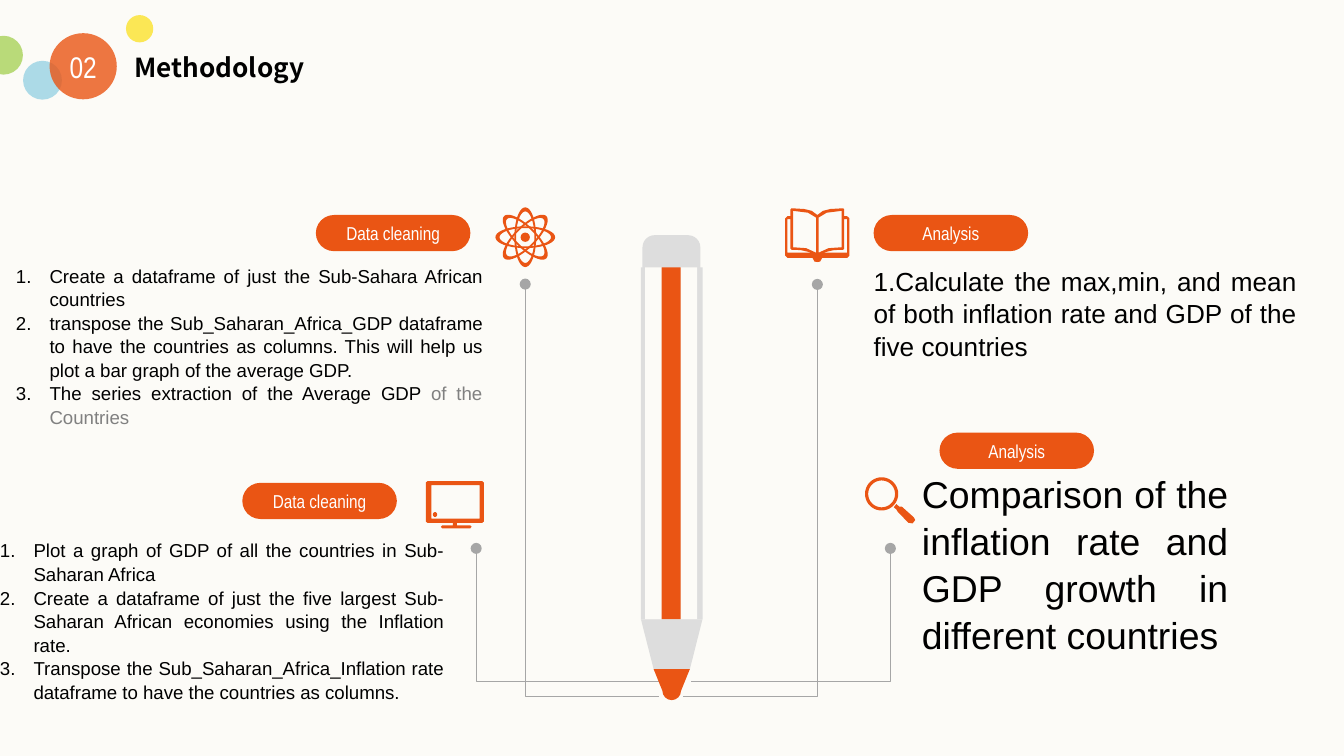
from math import cos, pi, radians, sin

from lxml import etree
from pptx import Presentation
from pptx.dml.color import RGBColor
from pptx.enum.shapes import MSO_SHAPE
from pptx.enum.text import MSO_ANCHOR, PP_ALIGN
from pptx.oxml.ns import qn
from pptx.util import Pt

OVAL, RECT, ROUND = MSO_SHAPE.OVAL, MSO_SHAPE.RECTANGLE, MSO_SHAPE.ROUNDED_RECTANGLE
LEFT, CENTER, JUSTIFY = PP_ALIGN.LEFT, PP_ALIGN.CENTER, PP_ALIGN.JUSTIFY
TOP, MIDDLE = MSO_ANCHOR.TOP, MSO_ANCHOR.MIDDLE

THEME = {
    "paper": "FCFBF7", "accent": "EA5514", "grey": "DDDDDD", "wire": "A6A6A6",
    "ink": "000000", "faded": "808080", "white": "FFFFFF",
    "yellow": "FBE22D", "green": "A9D25A", "blue": "98D2E3",
    "body": "Arial", "narrow": "Arial Narrow", "heading": "Noto Sans CJK SC",
    "list_size": 10, "label_size": 10, "title_size": 14, "number_size": 16,
    "analysis_size": 14, "comparison_size": 20,
}

# Each paragraph is a list of (text, colour) runs
SECTIONS = [
    {"label": "Analysis", "pill": (468, 115.2), "box": (468, 141.1, 226.8, 51),
     "size": "analysis_size", "numbered": False, "paragraphs": [
        [("1.Calculate the max,min, and mean of both inflation rate and GDP "
          "of the five countries", "ink")]]},
    {"label": "Analysis", "pill": (503.3, 231.8), "box": (493.9, 251.3, 164.2, 97),
     "size": "comparison_size", "numbered": False, "paragraphs": [
        [("Comparison of the inflation rate and GDP growth in different countries",
          "ink")]]},
    {"label": "Data cleaning", "pill": (169.2, 115.2), "box": (8.6, 141.1, 249.8, 97),
     "size": "list_size", "numbered": True, "paragraphs": [
        [("Create a dataframe of just the Sub-Sahara African countries", "ink")],
        [("transpose the Sub_Saharan_Africa_GDP dataframe to have the countries as "
          "columns. This will help us plot a bar graph of the average GDP.", "ink")],
        [("The series extraction of the Average GDP", "ink"),
         (" of the Countries", "faded")]]},
    {"label": "Data cleaning", "pill": (129.8, 258.7), "box": (0, 288.3, 237.6, 85),
     "size": "list_size", "numbered": True, "paragraphs": [
        [("Plot a graph of GDP of all the countries in Sub-Saharan Africa", "ink")],
        [("Create a dataframe of just the five largest Sub-Saharan African economies "
          "using the Inflation rate.", "ink")],
        [("Transpose the Sub_Saharan_Africa_Inflation rate dataframe to have the "
          "countries as columns.", "ink")]]},
]
PILL_SIZE = (82.8, 19.4)

# Start x, start y, bottom y, end x
WIRES = [(281.4, 152.2, 373.1, 353.3), (255.1, 293.8, 365, 361.1),
         (437.9, 152.4, 373.1, 365.9), (477, 293.8, 365, 370.1)]

BUBBLES = [((67.5, 8.1, 14.6, 14.6), "yellow"), ((-8.5, 19.2, 20.8, 20.8), "green"),
           ((12.4, 32.6, 20.8, 20.8), "blue"), ((26.6, 17.8, 36, 35.4), "accent")]

# Horizontal distances are measured from the spine of the book
BOOK_SPINE = 437.9
BOOK_COVER = [(0, 115.2), (3, 113), (7, 112), (13.9, 111.6), (14.4, 112.3),
              (14.4, 115.9), (16, 115.9), (17.2, 117), (17.2, 137), (16, 138.2),
              (2.6, 138.2), (1.5, 140.2), (0, 140.4)]
BOOK_HOLES = [
    [(0.7, 135.4), (0.7, 116.6), (5, 114), (13, 113), (13, 132.5), (6, 133)],
    [(16, 117.4), (16, 135.4), (3, 135.4), (9, 134), (13.7, 133.9), (14.4, 133.2),
     (14.4, 117.4)],
]
ATOM = (281.4, 127.1)
LENS = (472.3, 264.6)
HANDLE = [(480.2, 270), (481.7, 271.4), (483.1, 271.4), (489.6, 277.2), (490.3, 278.6),
          (488.9, 280.4), (486.7, 280.1), (481, 274.3), (480.2, 272.9), (478.8, 271.8)]
MONITOR = [
    [(229, 257.8), (258.4, 257.8), (259.2, 258.5), (259.2, 279.4), (258.4, 280.1),
     (244.8, 280.1), (244.8, 281.5), (252, 281.5), (252.7, 282.2), (252, 283),
     (236.9, 283), (236.2, 282.2), (236.9, 281.5), (242.6, 281.5), (242.6, 280.1),
     (229, 280.1), (228.2, 279.4), (228.2, 258.5)],
    [(231.1, 259.9), (257, 259.9), (257, 277.9), (231.1, 277.9)],
]
PENCIL_TOP, PENCIL_HEIGHT = 143.3, 188.6
PENCIL_STRIPES = [(343.4, 33.1, "grey"), (345.6, 9, "paper"), (364.5, 9, "paper"),
                  (354.5, 10.2, "accent")]
FERRULE = [(343.4, 331.9), (350.2, 358.5), (369.6, 358.5), (376.3, 331.9)]

prs = Presentation()
prs.slide_width, prs.slide_height = Pt(720), Pt(405)
slide = prs.slides.add_slide(prs.slide_layouts[6])


def rgb(name):
    return RGBColor.from_string(THEME[name])


def paint(shape, colour):
    shape.shadow.inherit = False
    shape.fill.solid()
    shape.fill.fore_color.rgb = rgb(colour)
    shape.line.fill.background()


def preset(kind, box, colour):
    shape = slide.shapes.add_shape(kind, *map(Pt, box))
    paint(shape, colour)
    return shape


def outline(contours, closed=True):
    """Freeform through points; inner contours become holes."""
    grid = [[(x * 100, y * 100) for x, y in contour] for contour in contours]
    builder = slide.shapes.build_freeform(*grid[0][0], scale=Pt(1) / 100)
    builder.add_line_segments(grid[0][1:], close=closed)
    for contour in grid[1:]:
        builder.move_to(*contour[0])
        builder.add_line_segments(contour[1:], close=closed)
    return builder.convert_to_shape()


def ellipse(centre, rx, ry, tilt=0, steps=40):
    c, s = cos(radians(tilt)), sin(radians(tilt))
    turns = [2 * pi * i / steps for i in range(steps)]
    return [(centre[0] + rx * cos(t) * c - ry * sin(t) * s,
             centre[1] + rx * cos(t) * s + ry * sin(t) * c) for t in turns]


def write(frame, paragraphs, size, font="body", align=JUSTIFY, anchor=TOP,
          spacing=1.0, bold=False, numbered=False):
    layout = {"word_wrap": True, "vertical_anchor": anchor, "margin_left": 0,
              "margin_right": 0, "margin_top": 0, "margin_bottom": 0}
    for key, value in layout.items():
        setattr(frame, key, value)
    for i, runs in enumerate(paragraphs):
        para = frame.add_paragraph() if i else frame.paragraphs[0]
        para.alignment, para.line_spacing = align, spacing
        if numbered:
            props = para._p.get_or_add_pPr()
            props.set("marL", str(Pt(18)))
            props.set("indent", str(-Pt(18)))
            etree.SubElement(props, qn("a:buAutoNum"), type="arabicPeriod")
        for text, colour in runs:
            run = para.add_run()
            run.text = text
            for key, value in {"name": THEME[font], "size": Pt(THEME[size]),
                               "bold": bold}.items():
                setattr(run.font, key, value)
            run.font.color.rgb = rgb(colour)


def text_box(box, *args, **formats):
    write(slide.shapes.add_textbox(*map(Pt, box)).text_frame, *args, **formats)


slide.background.fill.solid()
slide.background.fill.fore_color.rgb = rgb("paper")

for start_x, start_y, bottom, end_x in WIRES:
    wire = outline([[(start_x, start_y), (start_x, bottom), (end_x, bottom)]], closed=False)
    wire.shadow.inherit = False
    wire.fill.background()
    wire.line.color.rgb = rgb("wire")
    wire.line.width = Pt(0.5)
    etree.SubElement(wire.line._get_or_add_ln(), qn("a:headEnd"), type="oval")

mirrored_cover = [(-x, y) for x, y in reversed(BOOK_COVER[1:-1])]
book = [BOOK_COVER + mirrored_cover]
book += [[(side * x, y) for x, y in hole] for hole in BOOK_HOLES for side in (1, -1)]
book = [[(BOOK_SPINE + x, y) for x, y in contour] for contour in book]
orbits = [[ellipse(ATOM, 16, 5.85, tilt), ellipse(ATOM, 13.8, 4.9, tilt)]
          for tilt in (0, 45, 90, 135)]
magnifier = [ellipse(LENS, 8.9, 8.9), ellipse(LENS, 7.2, 7.2), HANDLE]
for icon in [book, *orbits, magnifier, MONITOR]:
    paint(outline(icon), "accent")
preset(OVAL, (ATOM[0] - 2.5, ATOM[1] - 2.5, 5, 5), "accent")
preset(OVAL, (231.9, 274.3, 2.3, 2.7), "accent")

for section in SECTIONS:
    text_box(section["box"], section["paragraphs"], section["size"], spacing=1.05,
             numbered=section["numbered"])
    pill = preset(ROUND, section["pill"] + PILL_SIZE, "accent")
    pill.adjustments[0] = 0.5
    write(pill.text_frame, [[(section["label"], "white")]], "label_size",
          font="narrow", align=CENTER, anchor=MIDDLE)

eraser = preset(ROUND, (344.2, 126, 31, 54), "grey")
eraser.adjustments[0] = 0.21
for left, width, colour in PENCIL_STRIPES:
    preset(RECT, (left, PENCIL_TOP, width, PENCIL_HEIGHT), colour)
paint(outline([FERRULE]), "grey")
rounded_end = [(359.9 + 5 * cos(t * pi / 8), 370.1 + 5 * sin(t * pi / 8)) for t in range(9)]
paint(outline([[(350.2, 358.5), (369.6, 358.5)] + rounded_end]), "accent")

for box, colour in BUBBLES:
    bubble = preset(OVAL, box, colour)
    tint = bubble.fill._xPr.find(qn("a:solidFill"))[0]
    etree.SubElement(tint, qn("a:alpha"), val="80000")
text_box((31.7, 25.9, 25.9, 19.4), [[("02", "white")]], "number_size",
         font="narrow", align=CENTER, anchor=MIDDLE)
text_box((72, 27.4, 218.9, 17.3), [[("Methodology", "ink")]], "title_size",
         font="heading", align=LEFT, anchor=MIDDLE, bold=True)

prs.save("out.pptx")
